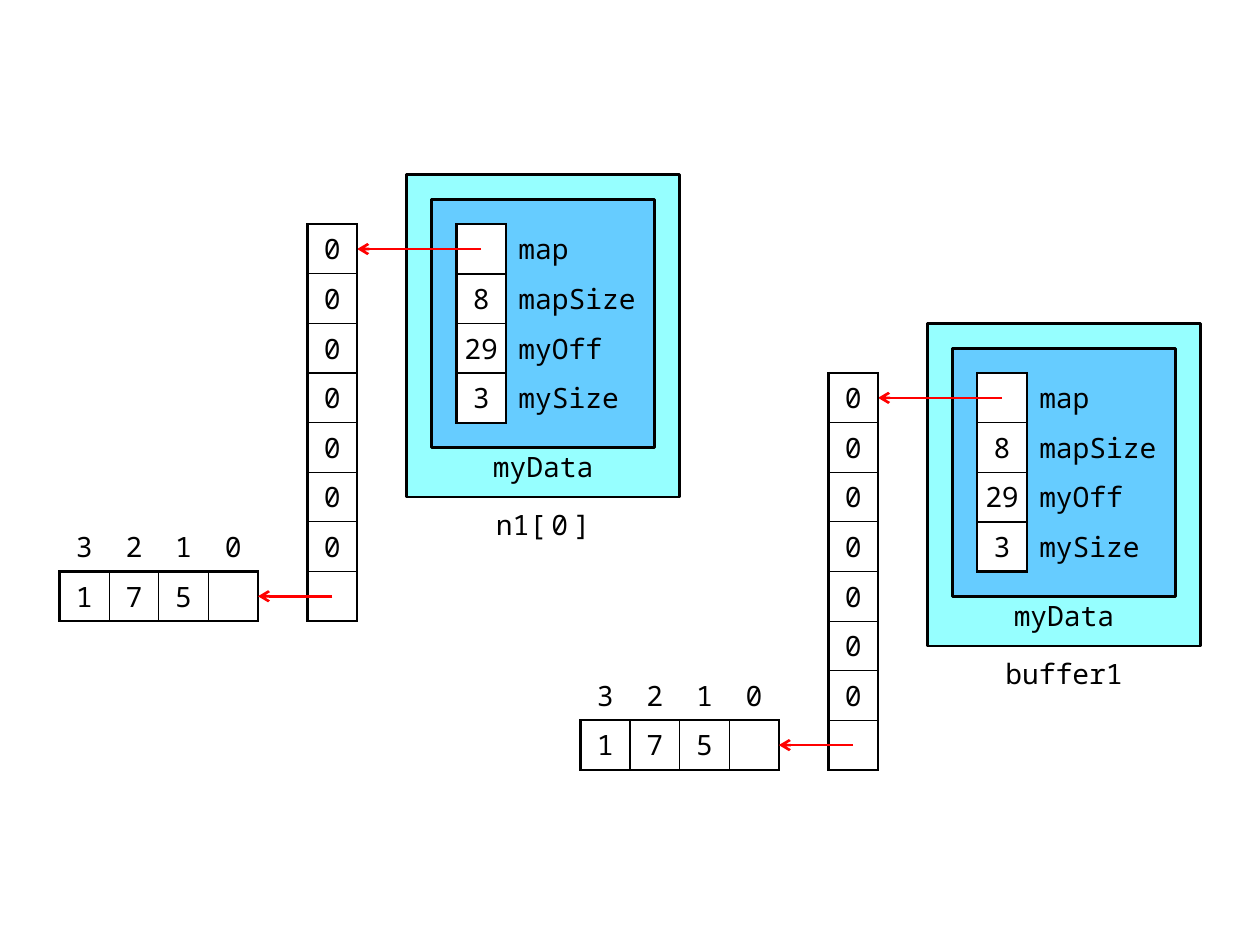
"""Build a slide of two deque objects, each with its map and data block."""
from lxml import etree
from pptx import Presentation
from pptx.dml.color import RGBColor
from pptx.enum.shapes import MSO_CONNECTOR, MSO_SHAPE
from pptx.enum.text import MSO_ANCHOR, PP_ALIGN
from pptx.oxml.ns import qn
from pptx.util import Pt

PX = 3600
CELL = 100
FONT = "Noto Sans Mono"
SIZE = Pt(16)
THICK = 1.5
BLACK = RGBColor(0x00, 0x00, 0x00)
WHITE = RGBColor(0xFF, 0xFF, 0xFF)
RED = RGBColor(0xFF, 0x00, 0x00)
AQUA = RGBColor(0x96, 0xFF, 0xFF)
BLUE = RGBColor(0x66, 0xCC, 0xFF)
LEFT, CENTER = PP_ALIGN.LEFT, PP_ALIGN.CENTER
TOP, MIDDLE = MSO_ANCHOR.TOP, MSO_ANCHOR.MIDDLE
BOX = MSO_SHAPE.FLOWCHART_PROCESS
STRAIGHT = MSO_CONNECTOR.STRAIGHT
SIDES = {"a:lnL": (0, -1), "a:lnR": (0, 1), "a:lnT": (-1, 0), "a:lnB": (1, 0)}


class Sketch:
    """Hold the style and the current slide."""

    def __init__(self, slide):
        self.shapes = slide.shapes

    def scale(self, *sizes):
        return [size * PX for size in sizes]

    def style(self, para, align):
        para.alignment = align
        para.font.name = FONT
        para.font.size = SIZE
        para.font.color.rgb = BLACK

    def panel(self, x, y, w, h, color):
        shape = self.shapes.add_shape(BOX, *self.scale(x, y, w, h))
        shape.shadow.inherit = False
        shape.fill.solid()
        shape.fill.fore_color.rgb = color
        shape.line.color.rgb = BLACK
        shape.line.width = Pt(THICK)

    def label(self, x, y, w, runs, anchor, inset):
        frame = self.shapes.add_textbox(*self.scale(x, y, w, CELL)).text_frame
        frame.word_wrap = True
        frame.vertical_anchor = anchor
        frame.margin_left, frame.margin_right = self.scale(20, 20)
        frame.margin_top, frame.margin_bottom = self.scale(inset, 0)
        para = frame.paragraphs[0]
        self.style(para, CENTER)
        for text, gap in runs:
            run = para.add_run()
            run.text = text
            if gap:
                run._r.get_or_add_rPr().set("spc", str(gap * 100))

    def arrow(self, x, y, end):
        line = self.shapes.add_connector(STRAIGHT, *self.scale(x, y, end, y))
        line.line.color.rgb = RED
        line.line.width = Pt(THICK)
        props = line.element.spPr
        etree.SubElement(props.find(qn("a:ln")), qn("a:tailEnd"), type="arrow")
        etree.SubElement(props, qn("a:effectLst"))

    def edges(self, cell, spot, boxed, thin):
        props = cell._tc.get_or_add_tcPr()
        for index, (tag, (down, right)) in enumerate(SIDES.items()):
            next_spot = (spot[0] + down, spot[1] + right)
            count = (spot in boxed) + (next_spot in boxed)
            width = (0, THICK, thin)[count]
            line = etree.Element(qn(tag), w=str(Pt(width)))
            if count:
                fill = etree.SubElement(line, qn("a:solidFill"))
                etree.SubElement(fill, qn("a:srgbClr"), val=str(BLACK))
            else:
                etree.SubElement(line, qn("a:noFill"))
            props.insert(index, line)

    def grid(self, x, y, widths, rows, boxed, thin):
        size = self.scale(x, y, sum(widths), CELL * len(rows))
        table = self.shapes.add_table(len(rows), len(widths), *size).table
        table.first_row = table.horz_banding = False
        for col, width in zip(table.columns, widths):
            col.width = width * PX
        for r, texts in enumerate(rows):
            table.rows[r].height = CELL * PX
            for c, text in enumerate(texts):
                cell = table.cell(r, c)
                narrow = widths[c] == CELL
                cell.text = text
                cell.vertical_anchor = MIDDLE
                pad = 0 if narrow else 25
                cell.margin_left, cell.margin_right = self.scale(pad, pad)
                cell.margin_top, cell.margin_bottom = self.scale(10, 10)
                self.style(cell.text_frame.paragraphs[0], CENTER if narrow else LEFT)
                if (r, c) in boxed:
                    cell.fill.solid()
                    cell.fill.fore_color.rgb = WHITE
                else:
                    cell.fill.background()
                self.edges(cell, (r, c), boxed, thin)

    def deque(self, x, y, name):
        self.panel(x + 700, y - 100, 550, 650, AQUA)
        self.panel(x + 750, y - 50, 450, 500, BLUE)
        self.label(x + 800, y + 550, 350, name, MIDDLE, 10)
        self.label(x + 850, y + 450, 250, [("myData", 0)], TOP, 5)
        fields = [("", "map"), ("8", "mapSize"), ("29", "myOff"), ("3", "mySize")]
        self.grid(x + 800, y, [CELL, 3 * CELL], fields, {(r, 0) for r in range(4)}, 1)
        self.arrow(x + 850, y + 50, x + 600)
        slots = ["0"] * 7 + [""]
        self.grid(x + 500, y, [CELL], slots and [[slot] for slot in slots],
                  {(r, 0) for r in range(8)}, 0.75)
        block = [("3", "2", "1", "0"), ("1", "7", "5", "")]
        self.grid(x, y + 600, [CELL] * 4, block, {(1, c) for c in range(4)}, 0.75)
        self.arrow(x + 550, y + 750, x + 400)


def main():
    deck = Presentation()
    deck.slide_width, deck.slide_height = 2540 * PX, 1905 * PX
    sketch = Sketch(deck.slides.add_slide(deck.slide_layouts[6]))
    sketch.deque(120, 452, [("n1", 0), ("[0", 3), ("]", 0)])
    sketch.deque(1170, 752, [("buffer1", 0)])
    deck.save("out.pptx")


if __name__ == "__main__":
    main()
